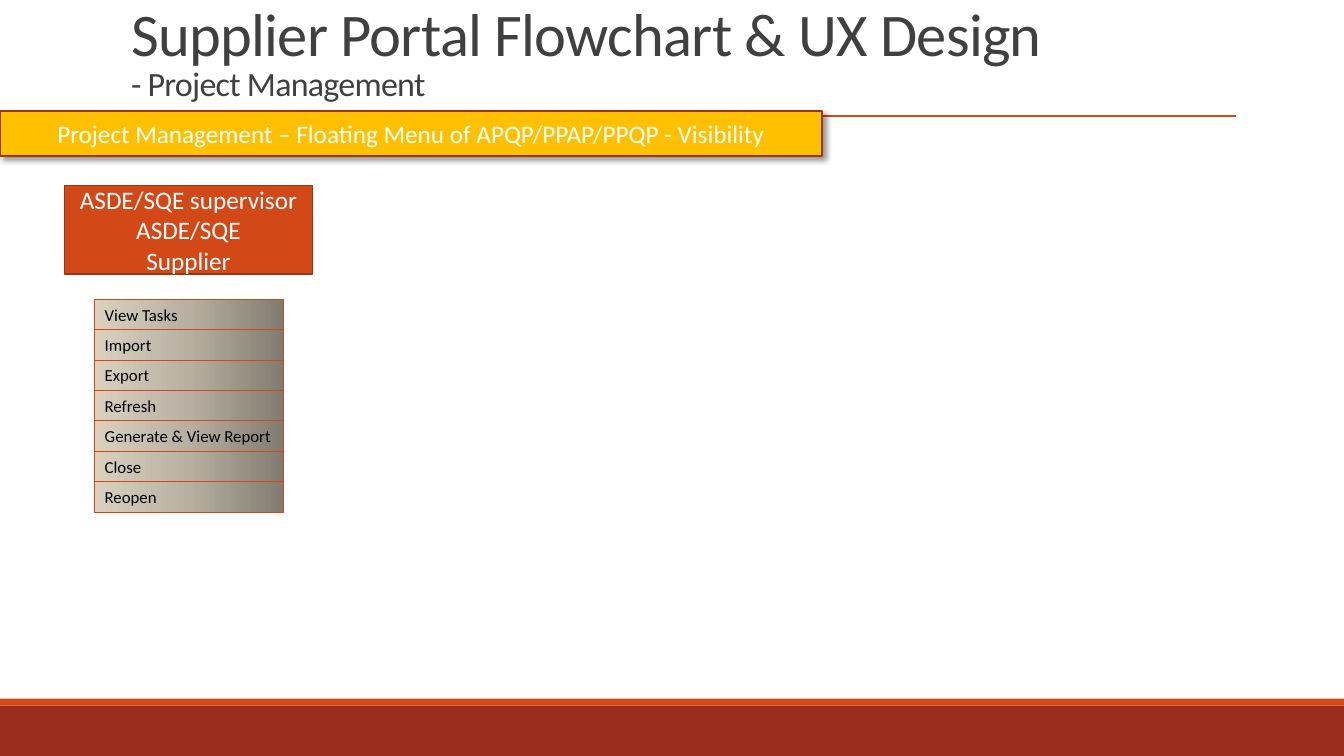
from dataclasses import dataclass

from lxml import etree
from pptx import Presentation, util as u
from pptx.dml.color import RGBColor
from pptx.enum import shapes, text
from pptx.oxml import parse_xml
from pptx.oxml.ns import nsdecls, qn


@dataclass(frozen=True)
class Theme:
    font: str = "Calibri"
    accent: str = "D34817"
    edge: str = "9C3511"
    footer: str = "9B2D1F"
    banner: str = "FFC000"
    title: str = "404040"
    light: str = "FFFFFF"
    dark: str = "000000"
    gradient: tuple[tuple[int, str], ...] = ((0, "817C71"), (50, "B7B0A1"), (100, "D9D1BE"))
    title_size: float = 43.2
    subtitle_size: float = 24.3
    label_size: float = 18
    menu_size: float = 12


@dataclass(frozen=True)
class Area:
    """A rectangle in percent of the slide's width and height."""
    x: float
    y: float
    w: float
    h: float

    def emu(self) -> tuple[int, int, int, int]:
        return (int(WIDTH * self.x / 100), int(HEIGHT * self.y / 100),
                int(WIDTH * self.w / 100), int(HEIGHT * self.h / 100))


@dataclass(frozen=True)
class Box:
    area: Area
    fill: str | None
    line: str | None = None
    line_width: float = 1.25
    lines: tuple[str, ...] = ()
    size: float = 18
    color: str = "FFFFFF"
    centred: bool = True


T = Theme()
WIDTH, HEIGHT = u.Inches(13.33), u.Inches(7.5)
TITLE = Area(9, 3.6, 82.5, 10.8)
RULE = Area(9, 15.33, 82.97, 0)
BARS = (
    Box(Area(0, 93.33, 100, 6.67), T.footer),
    Box(Area(0, 92.4, 100, 0.93), T.accent),
)
BANNER = Box(Area(0, 14.67, 61.14, 6), T.banner, T.edge, size=T.label_size, color=T.light,
             lines=("Project Management – Floating Menu of APQP/PPAP/PPQP - Visibility",))
ROLES = Box(Area(4.8, 24.53, 18.45, 11.73), T.accent, T.edge, size=T.label_size,
            color=T.light, lines=("ASDE/SQE supervisor", "ASDE/SQE", "Supplier"))
MENU = Area(7.05, 39.6, 14.05, 4.02)
MENU_ITEMS = ("View Tasks", "Import", "Export", "Refresh", "Generate & View Report",
              "Close", "Reopen")


def add_run(p, content: str, size: float, color: str):
    r = p.add_run()
    r.text = content
    r.font.name = T.font
    r.font.size = u.Pt(size)
    r.font.color.rgb = RGBColor.from_string(color)
    return r


def add_box(parent, box: Box):
    sp = parent.add_shape(shapes.MSO_SHAPE.RECTANGLE, *box.area.emu())
    sp.shadow.inherit = False
    if box.fill:
        sp.fill.solid()
        sp.fill.fore_color.rgb = RGBColor.from_string(box.fill)
    if box.line:
        sp.line.color.rgb = RGBColor.from_string(box.line)
        sp.line.width = u.Pt(box.line_width)
    else:
        sp.line.fill.background()
    tf = sp.text_frame
    tf.word_wrap = True
    tf.vertical_anchor = text.MSO_ANCHOR.MIDDLE
    for i, content in enumerate(box.lines):
        p = tf.add_paragraph() if i else tf.paragraphs[0]
        p.alignment = text.PP_ALIGN.CENTER if box.centred else text.PP_ALIGN.LEFT
        add_run(p, content, box.size, box.color)
    return sp


def add_shadow(sp) -> None:
    effects = sp._element.spPr.find(qn("a:effectLst"))
    effects.append(parse_xml(
        f'<a:outerShdw {nsdecls("a")} blurRad="{u.Pt(4)}" dist="{u.Pt(3)}" dir="2700000" '
        f'algn="tl" rotWithShape="0"><a:srgbClr val="{T.dark}"><a:alpha val="40000"/>'
        '</a:srgbClr></a:outerShdw>'))


def fill_gradient(sp) -> None:
    """Replace the two default stops by the theme's stops, running right to left."""
    sp.fill.gradient()
    sp.fill.gradient_angle = 180
    stops = sp._element.spPr.find(qn("a:gradFill")).find(qn("a:gsLst"))
    for stop in list(stops):
        stops.remove(stop)
    for share, color in T.gradient:
        stop = etree.SubElement(stops, qn("a:gs"), pos=str(share * 1000))
        etree.SubElement(stop, qn("a:srgbClr"), val=color)


def add_title(s) -> None:
    sp = s.shapes.title
    sp.left, sp.top, sp.width, sp.height = TITLE.emu()
    tf = sp.text_frame
    tf.word_wrap = True
    tf.auto_size = text.MSO_AUTO_SIZE.NONE
    tf.vertical_anchor = text.MSO_ANCHOR.BOTTOM
    p = tf.paragraphs[0]
    p.alignment = text.PP_ALIGN.LEFT
    p.line_spacing = 0.85
    heading = add_run(p, "Supplier Portal Flowchart & UX Design", T.title_size, T.title)
    p.add_line_break()
    subtitle = add_run(p, "- Project Management", T.subtitle_size, T.title)
    for r in (heading, subtitle):
        r.font._element.set("spc", "-50")


def add_rule(s) -> None:
    x, y, w, h = RULE.emu()
    line = s.shapes.add_connector(shapes.MSO_CONNECTOR.STRAIGHT, x, y, x + w, y + h)
    line.line.color.rgb = RGBColor.from_string(T.accent)
    line.line.width = u.Pt(1)
    etree.SubElement(line._element.spPr, qn("a:effectLst"))


def add_menu(s) -> None:
    group = s.shapes.add_group_shape()
    for row, item in enumerate(MENU_ITEMS):
        area = Area(MENU.x, MENU.y + row * MENU.h, MENU.w, MENU.h)
        sp = add_box(group.shapes, Box(area, None, T.accent, 0.75, (item,),
                                       T.menu_size, T.dark, centred=False))
        fill_gradient(sp)
        sp.text_frame.vertical_anchor = text.MSO_ANCHOR.TOP
        sp.text_frame.auto_size = text.MSO_AUTO_SIZE.SHAPE_TO_FIT_TEXT


def main() -> None:
    prs = Presentation()
    prs.slide_width, prs.slide_height = WIDTH, HEIGHT
    s = prs.slides.add_slide(prs.slide_layouts.get_by_name("Title Only"))
    for bar in BARS:
        add_box(s.shapes, bar)
    add_rule(s)
    add_title(s)
    add_shadow(add_box(s.shapes, BANNER))
    add_box(s.shapes, ROLES)
    add_menu(s)
    prs.save("out.pptx")


if __name__ == "__main__":
    main()
